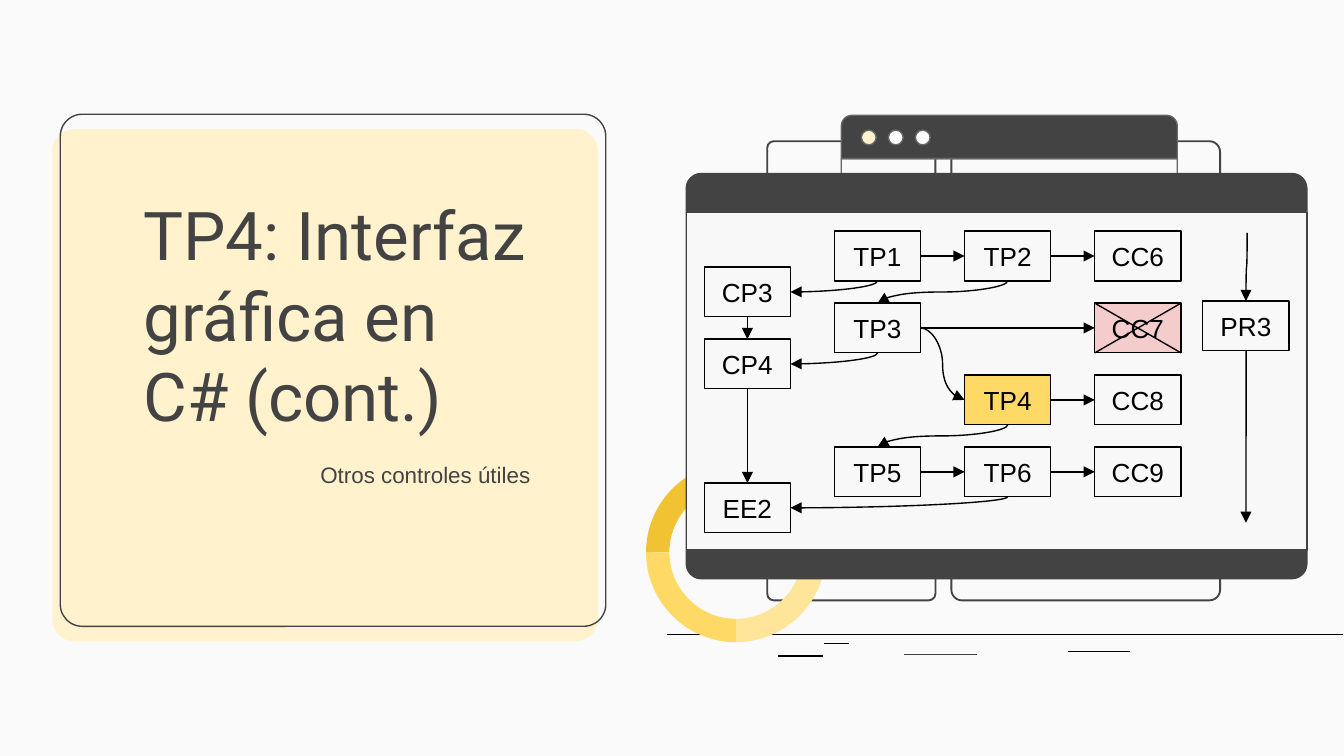
from pptx import Presentation
from pptx.dml.color import RGBColor
from pptx.enum.shapes import MSO_CONNECTOR as Connector, MSO_SHAPE as Shape
from pptx.enum.text import MSO_ANCHOR as Anchor, MSO_AUTO_SIZE as AutoSize, PP_ALIGN as Align
from pptx.oxml.ns import qn
from pptx.util import Cm, Pt
from lxml.etree import SubElement

PAPER = RGBColor(0xFA, 0xFA, 0xFA)
SCREEN = RGBColor(0xF8, 0xF8, 0xF8)
WHITE = RGBColor(0xFF, 0xFF, 0xFF)
BLACK = RGBColor(0, 0, 0)
DARK = RGBColor(0x43, 0x43, 0x43)
GREY = RGBColor(0x66, 0x66, 0x66)
CREAM = RGBColor(0xFF, 0xF2, 0xCC)
LIGHT_YELLOW = RGBColor(0xFF, 0xE5, 0x99)
YELLOW = RGBColor(0xFF, 0xD9, 0x66)
GOLD = RGBColor(0xF1, 0xC2, 0x32)
PINK = RGBColor(0xF4, 0xCC, 0xCC)

# Content; lengths are in centimetres
TITLE = "TP4: Interfaz gráfica en C# (cont.)"
SUBTITLE = "Otros controles útiles"
TEXT_LEFT, TEXT_WIDTH, TEXT_HEIGHT = 2.46, 7.82, 3.07
TITLE_TOP, SUBTITLE_TOP = 5.41, 8.46

# Ground strokes: left, right, height on the slide, colour
GROUND = [(12.6, 25.38, 11.99, BLACK), (14.71, 15.55, 12.4, BLACK),
          (17.09, 18.47, 12.37, DARK), (15.57, 16.05, 12.16, BLACK),
          (20.19, 21.35, 12.31, BLACK)]
FRAMES = [(14.5, 3.18), (17.98, 5.08)]  # left, width
DOTS = [(16.28, CREAM), (16.79, WHITE), (17.3, WHITE)]  # left, fill
RING = [(300, 90, LIGHT_YELLOW), (90, 180, YELLOW), (180, 300, GOLD)]

# Diagram boxes: name -> (column, row) on the grid
GRID_LEFT, GRID_TOP, COLUMN_STEP, ROW_STEP = 13.31, 4.37, 2.46, 1.36
BOX_WIDTH, BOX_HEIGHT = 1.63, 0.94
BOXES = {
    "CP3": (0, 0.5), "CP4": (0, 1.5), "EE2": (0, 3.5),
    "TP1": (1, 0), "TP3": (1, 1), "TP5": (1, 3),
    "TP2": (2, 0), "TP4": (2, 2), "TP6": (2, 3),
    "CC6": (3, 0), "CC7": (3, 1), "CC8": (3, 2), "CC9": (3, 3),
    "PR3": (3.83, 0.97),
}
BOX_FILLS = {"TP4": YELLOW, "CC7": PINK}
CROSSED_OUT = "CC7"
TOP, LEFT, BOTTOM, RIGHT = range(4)  # connection sites of a rectangle
LINKS = [  # (leaving side, arriving side, pairs of boxes)
    (RIGHT, LEFT, [("TP1", "TP2"), ("TP2", "CC6"), ("TP3", "TP4"), ("TP3", "CC7"),
                   ("TP4", "CC8"), ("TP5", "TP6"), ("TP6", "CC9")]),
    (BOTTOM, TOP, [("TP2", "TP3"), ("TP4", "TP5"), ("CP3", "CP4"), ("CP4", "EE2")]),
    (BOTTOM, RIGHT, [("TP1", "CP3"), ("TP3", "CP4"), ("TP6", "EE2")]),
]
TIMELINE_START, TIMELINE_END = (23.57, 4.4), (23.55, 9.88)

presentation = Presentation()
presentation.slide_width, presentation.slide_height = Cm(25.4), Cm(14.29)
slide = presentation.slides.add_slide(presentation.slide_layouts[5])
slide.background.fill.solid()
slide.background.fill.fore_color.rgb = PAPER


def add_shape(kind, left, top, width, height, fill=None, line=None, adjust=(), weight=0.75):
    shape = slide.shapes.add_shape(kind, Cm(left), Cm(top), Cm(width), Cm(height))
    shape.shadow.inherit = False
    for index, value in enumerate(adjust):
        shape.adjustments[index] = value
    if fill is None:
        shape.fill.background()
    else:
        shape.fill.solid()
        shape.fill.fore_color.rgb = fill
    if line is None:
        shape.line.fill.background()
    else:
        shape.line.color.rgb = line
        shape.line.width = Pt(weight)
    return shape


def add_line(start, end, color=BLACK, kind=Connector.STRAIGHT):
    line = slide.shapes.add_connector(kind, *(Cm(value) for value in (*start, *end)))
    line.line.color.rgb = color
    line.line.width = Pt(0.75)
    SubElement(line.element.spPr, qn("a:effectLst"))
    return line


def site(name, side):
    """Middle of one side of a diagram box."""
    column, row = BOXES[name]
    across, down = {TOP: (0.5, 0), LEFT: (0, 0.5), BOTTOM: (0.5, 1), RIGHT: (1, 0.5)}[side]
    return (GRID_LEFT + column * COLUMN_STEP + across * BOX_WIDTH,
            GRID_TOP + row * ROW_STEP + down * BOX_HEIGHT)


def add_arrow(start, end, leaving, arriving, source=None, target=None):
    arrow = add_line(start, end, kind=Connector.CURVE)
    SubElement(arrow.line._get_or_add_ln(), qn("a:tailEnd"), type="triangle")
    if source is not None:
        arrow.begin_connect(source, leaving)
    if target is not None:
        arrow.end_connect(target, arriving)
    if leaving == BOTTOM:
        # A curve that leaves downwards is a horizontal one turned by 90 degrees
        width, height = end[1] - start[1], abs(end[0] - start[0])
        frame = arrow.element.spPr.find(qn("a:xfrm"))
        frame.attrib.clear()
        frame.set("rot", str(90 * 60000))
        arrow.left = Cm((start[0] + end[0] - width) / 2)
        arrow.top = Cm((start[1] + end[1] - height) / 2)
        arrow.width, arrow.height = Cm(width), Cm(height)
    if arriving == RIGHT:
        arrow.element.spPr.find(qn("a:prstGeom")).set("prst", "curvedConnector2")


def write(shape, text, size, font, color, align, anchor):
    frame = shape.text_frame
    frame.word_wrap = True
    frame.auto_size = AutoSize.NONE
    frame.vertical_anchor = anchor
    frame.margin_left = frame.margin_right = Cm(0.25)
    frame.margin_top = frame.margin_bottom = Cm(0.25)
    paragraph = frame.paragraphs[0]
    paragraph.alignment = align
    run = paragraph.add_run()
    run.text = text
    run.font.size, run.font.name = Pt(size), font
    run.font.color.rgb = color


# Title card
add_shape(Shape.ROUNDED_RECTANGLE, 0.99, 2.44, 10.31, 9.68, CREAM, adjust=[0.043])
outline = add_shape(Shape.ROUNDED_RECTANGLE, 1.14, 2.16, 10.31, 9.68, line=DARK, adjust=[0.043])
title = slide.shapes.title
outline.element.addnext(title.element)
title.left, title.top = Cm(TEXT_LEFT), Cm(TITLE_TOP)
title.width, title.height = Cm(TEXT_WIDTH), Cm(TEXT_HEIGHT)
write(title, TITLE, 36, "Roboto", DARK, Align.LEFT, Anchor.BOTTOM)
subtitle = slide.shapes.add_textbox(Cm(TEXT_LEFT), Cm(SUBTITLE_TOP), Cm(TEXT_WIDTH), Cm(TEXT_HEIGHT))
write(subtitle, SUBTITLE, 12, "Arial", DARK, Align.RIGHT, Anchor.TOP)

# Ground and frames behind the window
for left, right, height, color in GROUND:
    add_line((left, height), (right, height), color)
for left, width in FRAMES:
    add_shape(Shape.ROUNDED_RECTANGLE, left, 2.67, width, 8.68, line=DARK, adjust=[0.04], weight=1)

# Small window with its three dots
add_shape(Shape.ROUND_2_SAME_RECTANGLE, 15.9, 2.18, 6.35, 0.82, DARK, GREY, [0.25, 0])
for left, fill in DOTS:
    add_shape(Shape.OVAL, left, 2.46, 0.28, 0.28, fill, GREY)
add_shape(Shape.ROUND_2_SAME_RECTANGLE, 15.9, 3, 6.35, 4.16, line=GREY, adjust=[0, 0.04])

# Ring; arc angles are stored in 1/60000 degree, adjustments in 1/100000
for start, end, fill in RING:
    add_shape(Shape.BLOCK_ARC, 12.21, 8.74, 3.4, 3.4, fill, adjust=[start * 0.6, end * 0.6, 0.13])

# Main window
add_shape(Shape.ROUNDED_RECTANGLE, 12.97, 3.28, 11.73, 7.66, DARK, DARK, [0.037])
add_shape(Shape.RECTANGLE, 12.97, 4.02, 11.73, 6.38, SCREEN, DARK)

# Diagram
boxes = {}
for name in BOXES:
    left, top = site(name, LEFT)[0], site(name, TOP)[1]
    boxes[name] = add_shape(Shape.RECTANGLE, left, top, BOX_WIDTH, BOX_HEIGHT, BOX_FILLS.get(name), BLACK)
    write(boxes[name], name, 14, "Arial", BLACK, Align.CENTER, Anchor.MIDDLE)
for leaving, arriving, pairs in LINKS:
    for source, target in pairs:
        add_arrow(site(source, leaving), site(target, arriving), leaving, arriving,
                  boxes[source], boxes[target])
add_arrow(TIMELINE_START, site("PR3", TOP), BOTTOM, TOP, target=boxes["PR3"])
add_arrow(site("PR3", BOTTOM), TIMELINE_END, BOTTOM, TOP, source=boxes["PR3"])

# Cross over the dropped class
left, right = site(CROSSED_OUT, LEFT)[0], site(CROSSED_OUT, RIGHT)[0]
top, bottom = site(CROSSED_OUT, TOP)[1], site(CROSSED_OUT, BOTTOM)[1]
add_line((right, top), (left, bottom))
add_line((right, bottom), (left, top))

presentation.save("out.pptx")
